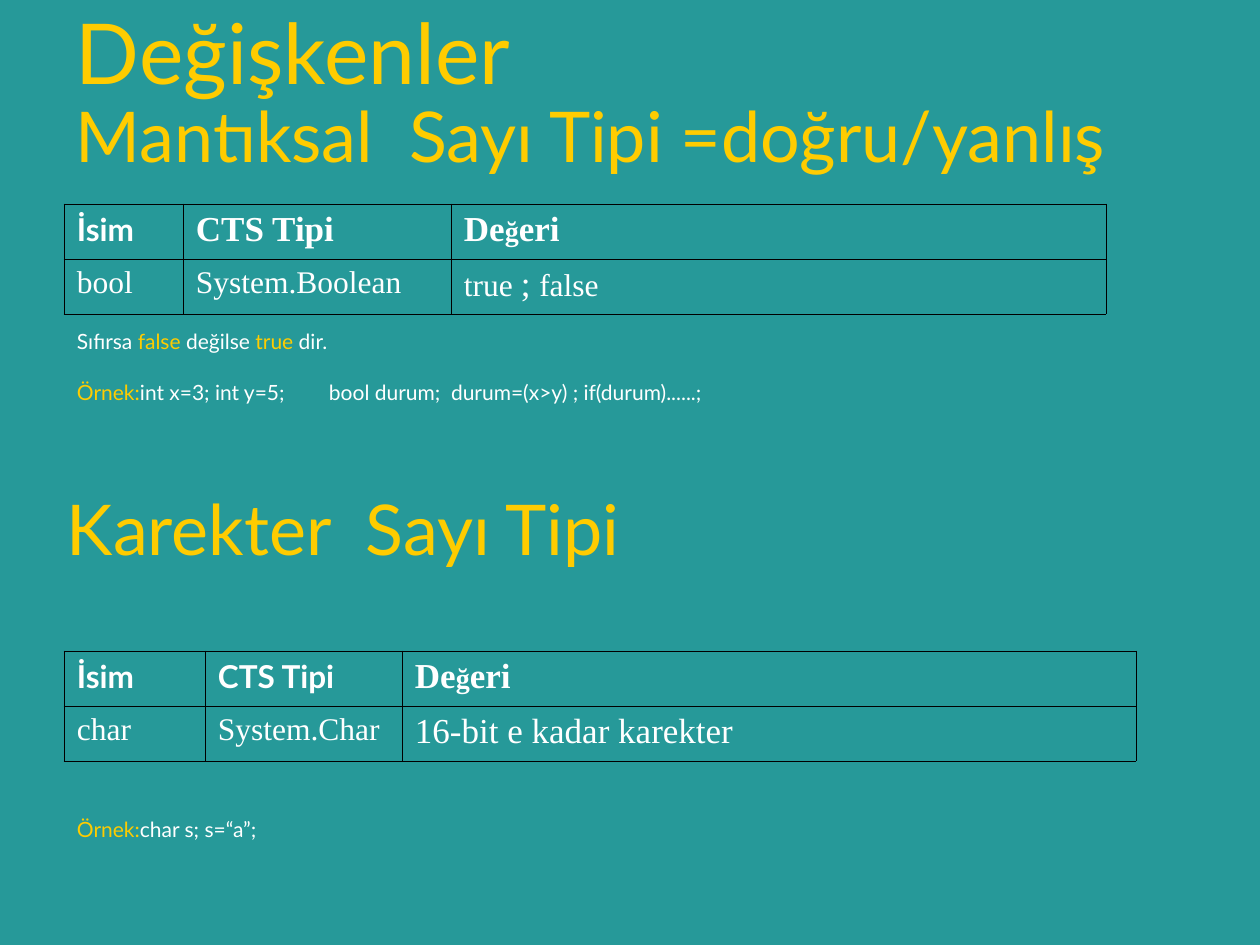
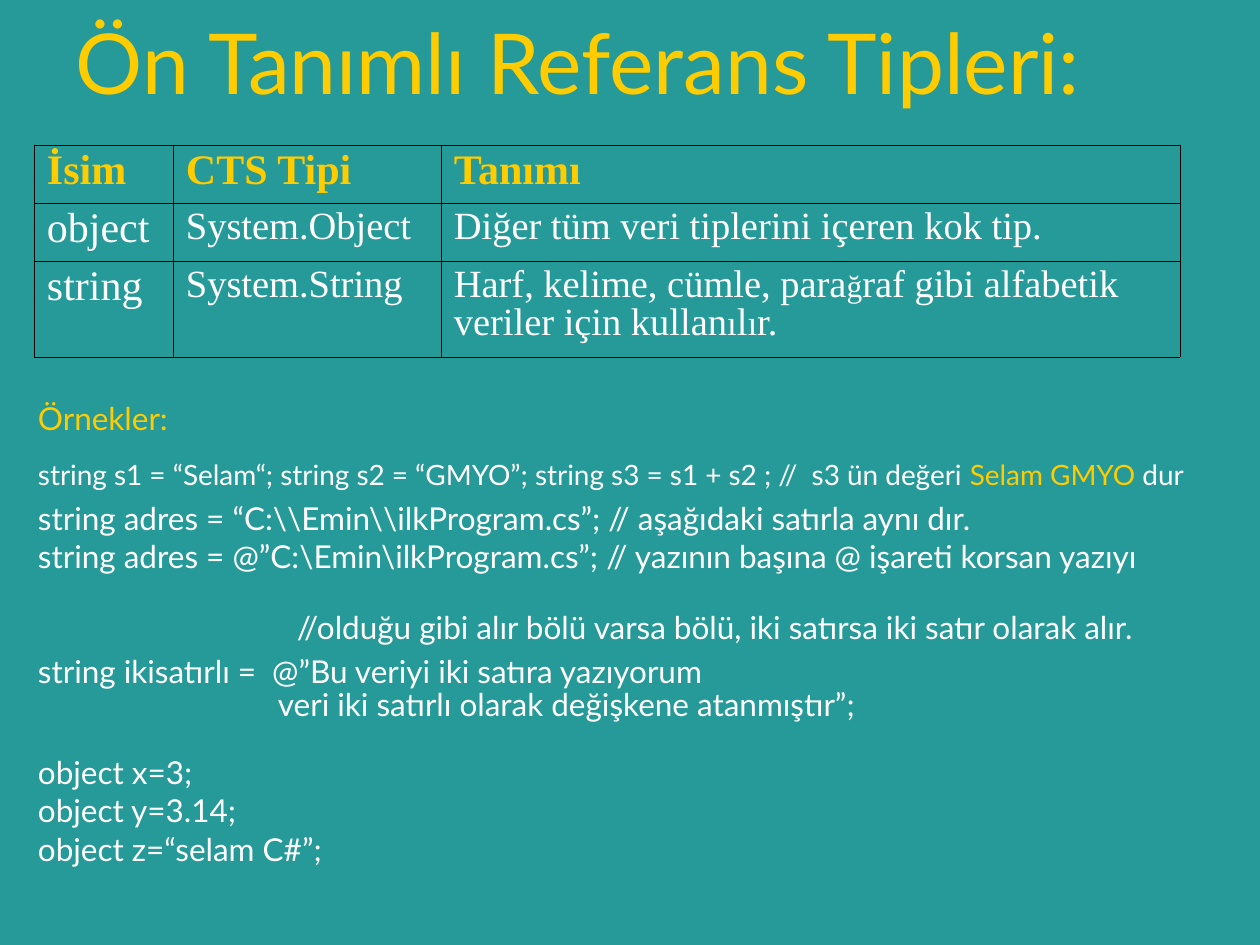
"""Build two slides on C# variable types: bool and char, then reference types."""
from lxml import etree
from pptx import Presentation
from pptx import util as u
from pptx.dml.color import RGBColor
from pptx.enum import text
from pptx.oxml import ns

SLIDE_SIZE = (1260, 945)
BACKGROUND, YELLOW, WHITE, BLACK = "269999", "FFCC00", "FFFFFF", "000000"
SANS, SERIF = "Lato", "Times New Roman"
BORDER_POINTS = 0.45
MARGINS = {"margin_left": 13, "margin_right": 13, "margin_top": 6, "margin_bottom": 6}


def style(name, size, colour=WHITE, bold=False):
    """Describe the look of one run of text."""
    return {"name": name, "size": size, "bold": bold, "colour": colour}


TITLE, SUBTITLE = style(SANS, 48, YELLOW), style(SANS, 40, YELLOW)
NOTE, NOTE_KEY = style(SANS, 12), style(SANS, 12, YELLOW)
CODE, CODE_SMALL = style(SANS, 18), style(SANS, 16)
CODE_KEY, CODE_SMALL_KEY = style(SANS, 18, YELLOW), style(SANS, 16, YELLOW)
HEAD_SANS, HEAD = style(SANS, 18, bold=True), style(SERIF, 20, bold=True)
HEAD_SMALL, HEAD_KEY = style(SERIF, 16, bold=True), style(SERIF, 24, YELLOW, True)
CELL_18, CELL_20, CELL_22, CELL_24 = (style(SERIF, size) for size in (18, 20, 22, 24))


def line(*runs, spacing=1.0, before=0, indent=0, tabs=()):
    """Describe one paragraph made of (style, text) runs."""
    return {"runs": runs, "tabs": tabs, "indent": indent,
            "format": {"line_spacing": spacing, "space_before": u.Pt(before)}}


def cell(*runs):
    """Describe a table cell holding one paragraph."""
    return [line(*runs)]


def tight(*runs):
    """Describe a paragraph in the closely set reference table."""
    return line(*runs, spacing=0.9)


VALUE_HEAD = cell((HEAD, "De"), (HEAD_SMALL, "ğ"), (HEAD, "eri"))
EXAMPLE_TABS = (106, 282)

VALUE_TYPES = {
    "texts": [
        ((63, 0, 1134, 102), "MIDDLE", [line((TITLE, "Değişkenler"))]),
        ((63, 40, 1134, 190), "MIDDLE",
         [line((SUBTITLE, "Mantıksal  Sayı Tipi =doğru/yanlış"))]),
        ((64, 323, 1042, 113), "TOP", [
            line((NOTE, "Sıfırsa "), (NOTE_KEY, "false"), (NOTE, " değilse "),
                 (NOTE_KEY, "true"), (NOTE, " dir.")),
            line((NOTE_KEY, "Örnek:"),
                 (NOTE, "\tint x=3; int y=5;\tbool durum;  durum=(x>y) ; if(durum)......;"),
                 before=14.4, tabs=EXAMPLE_TABS)]),
        ((54, 473, 1134, 110), "MIDDLE", [line((SUBTITLE, "Karekter  Sayı Tipi"))]),
        ((64, 811, 1042, 63), "TOP",
         [line((NOTE_KEY, "Örnek:"), (NOTE, "\tchar s; s=“a”;"), tabs=EXAMPLE_TABS)]),
    ],
    "tables": [
        ((64, 204), (119, 268, 655), (55, 55), [
            [cell((HEAD_SANS, "İsim")), cell((HEAD, "CTS Tipi")), VALUE_HEAD],
            [cell((CELL_18, "bool")), cell((CELL_18, "System.Boolean")),
             cell((CELL_18, "true "), (CELL_20, "; "), (CELL_18, "false"))]]),
        ((64, 651), (141, 197, 734), (55, 55), [
            [cell((HEAD_SANS, "İsim")), cell((HEAD_SANS, "CTS Tipi")), VALUE_HEAD],
            [cell((CELL_18, "char")), cell((CELL_18, "System.Char")),
             cell((CELL_20, "16-bit e kadar karekter"))]]),
    ],
}

REFERENCE_TYPES = {
    "texts": [
        ((63, 10, 1134, 102), "MIDDLE", [line((TITLE, "Ön Tanımlı Referans Tipleri:"))]),
        ((25, 393, 1235, 512), "TOP", [
            line((CODE_KEY, "Örnekler:")),
            line((CODE_SMALL, "string s1 = “Selam“; string s2 = “GMYO”; "
                              "string s3 = s1 + s2 ; //  s3 ün değeri "),
                 (CODE_SMALL_KEY, "Selam GMYO"), (CODE_SMALL, " dur"),
                 spacing=1.1, before=10),
            line((CODE, r"string adres = “C:\\Emin\\ilkProgram.cs”; // aşağıdaki satırla aynı dır."),
                 spacing=1.2),
            line((CODE, r"string adres = @”C:\Emin\ilkProgram.cs”; "
                        "// yazının başına @ işareti korsan yazıyı")),
            line((CODE, "//olduğu gibi alır bölü varsa bölü, iki satırsa iki satır olarak alır."),
                 spacing=0.9, before=21.4, indent=259),
            line((CODE, "string ikisatırlı =  @”Bu veriyi iki satıra yazıyorum"),
                 spacing=0.6, before=11.2),
            line((CODE, "veri iki satırlı olarak değişkene atanmıştır”;"),
                 spacing=0.3, before=11.2, indent=240),
            line((CODE, "object x=3;"), spacing=0.5, before=28.5),
            line((CODE, "object y=3.14;"), spacing=0.5, before=11.2),
            line((CODE, "object z=“selam C#”;"), spacing=0.5, before=11.2)]),
    ],
    "tables": [
        ((34, 145), (139, 268, 739), (58, 58, 96), [
            [[tight((HEAD_KEY, name))] for name in ("İsim", "CTS Tipi", "Tanımı")],
            [[tight((CELL_24, "object"))], [tight((CELL_22, "System.Object"))],
             [tight((CELL_22, "Diğer tüm veri tiplerini içeren kok tip."))]],
            [[tight((CELL_24, "string"))], [tight((CELL_22, "System.String"))],
             [tight((CELL_22, "Harf, kelime, cümle, para"), (CELL_18, "ğ"),
                    (CELL_22, "raf gibi alfabetik")),
              tight((CELL_22, "veriler için kullan"), (CELL_20, "ı"), (CELL_22, "l"),
                    (CELL_20, "ı"), (CELL_22, "r."))]]]),
    ],
}


def px(length):
    """Turn px into EMU."""
    return u.Emu(round(length * 914400 / 126))


def rgb(colour):
    """Turn a hex string into a colour."""
    return RGBColor.from_string(colour)


def apply(target, values):
    """Set each named attribute on the target."""
    for name, value in values.items():
        setattr(target, name, value)


def write(frame, lines):
    """Fill a text frame with the described paragraphs."""
    for index, entry in enumerate(lines):
        paragraph = frame.add_paragraph() if index else frame.paragraphs[0]
        apply(paragraph, entry["format"])
        properties = paragraph._p.get_or_add_pPr()
        properties.set("marL", str(px(entry["indent"])))
        properties.set("indent", "0")
        if entry["tabs"]:
            stops = etree.SubElement(properties, ns.qn("a:tabLst"))
            for stop in entry["tabs"]:
                etree.SubElement(stops, ns.qn("a:tab"), pos=str(px(stop)), algn="l")
        for look, words in entry["runs"]:
            run = paragraph.add_run()
            run.text = words
            apply(run.font, {"name": look["name"], "size": u.Pt(look["size"]),
                             "bold": look["bold"]})
            run.font.color.rgb = rgb(look["colour"])


def inset(target):
    """Give a text frame or cell the shared margins."""
    apply(target, {name: px(value) for name, value in MARGINS.items()})


def add_text(slide, box, anchor, lines):
    """Add a wrapped text box."""
    frame = slide.shapes.add_textbox(*map(px, box)).text_frame
    apply(frame, {"word_wrap": True, "vertical_anchor": getattr(text.MSO_ANCHOR, anchor)})
    inset(frame)
    write(frame, lines)


def add_borders(table_cell):
    """Draw a thin line on all four sides of a cell."""
    properties = table_cell._tc.get_or_add_tcPr()
    for side in ("lnL", "lnR", "lnT", "lnB"):
        border = etree.SubElement(properties, ns.qn("a:" + side), w=str(u.Pt(BORDER_POINTS)))
        fill = etree.SubElement(border, ns.qn("a:solidFill"))
        etree.SubElement(fill, ns.qn("a:srgbClr"), val=BLACK)


def add_table(slide, corner, widths, heights, rows):
    """Add an unfilled table with thin borders."""
    box = (*corner, sum(widths), sum(heights))
    table = slide.shapes.add_table(len(heights), len(widths), *map(px, box)).table
    apply(table, {"first_row": False, "horz_banding": False})
    for column, width in zip(table.columns, widths):
        column.width = px(width)
    for row, height, contents in zip(table.rows, heights, rows):
        row.height = px(height)
        for table_cell, lines in zip(row.cells, contents):
            inset(table_cell)
            add_borders(table_cell)
            table_cell.fill.background()
            write(table_cell.text_frame, lines)


def main():
    """Build and save the presentation."""
    presentation = Presentation()
    presentation.slide_width, presentation.slide_height = map(px, SLIDE_SIZE)
    for content in (VALUE_TYPES, REFERENCE_TYPES):
        slide = presentation.slides.add_slide(presentation.slide_layouts[6])
        slide.background.fill.solid()
        slide.background.fill.fore_color.rgb = rgb(BACKGROUND)
        for table in content["tables"]:
            add_table(slide, *table)
        for words in content["texts"]:
            add_text(slide, *words)
    presentation.save("out.pptx")


if __name__ == "__main__":
    main()
